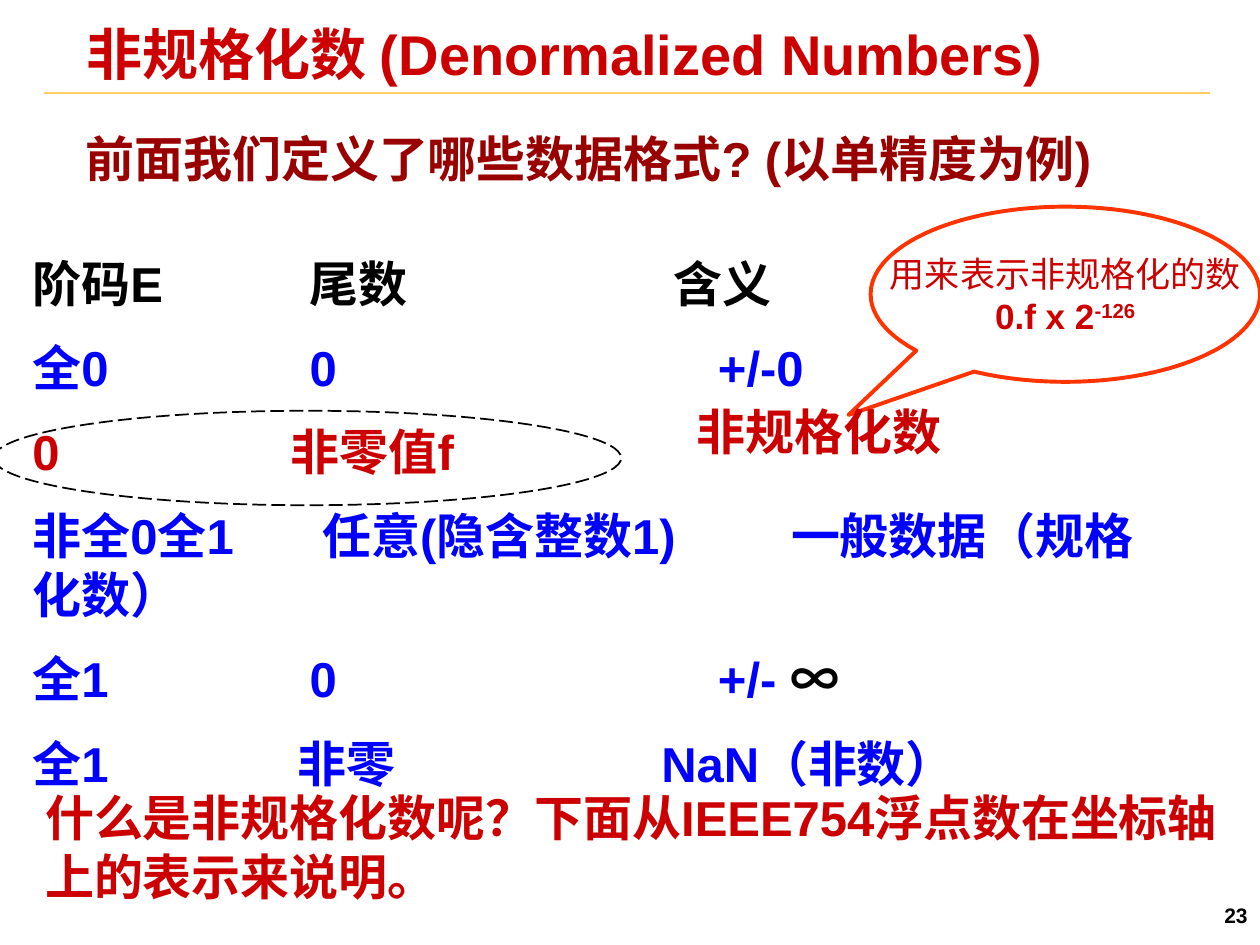
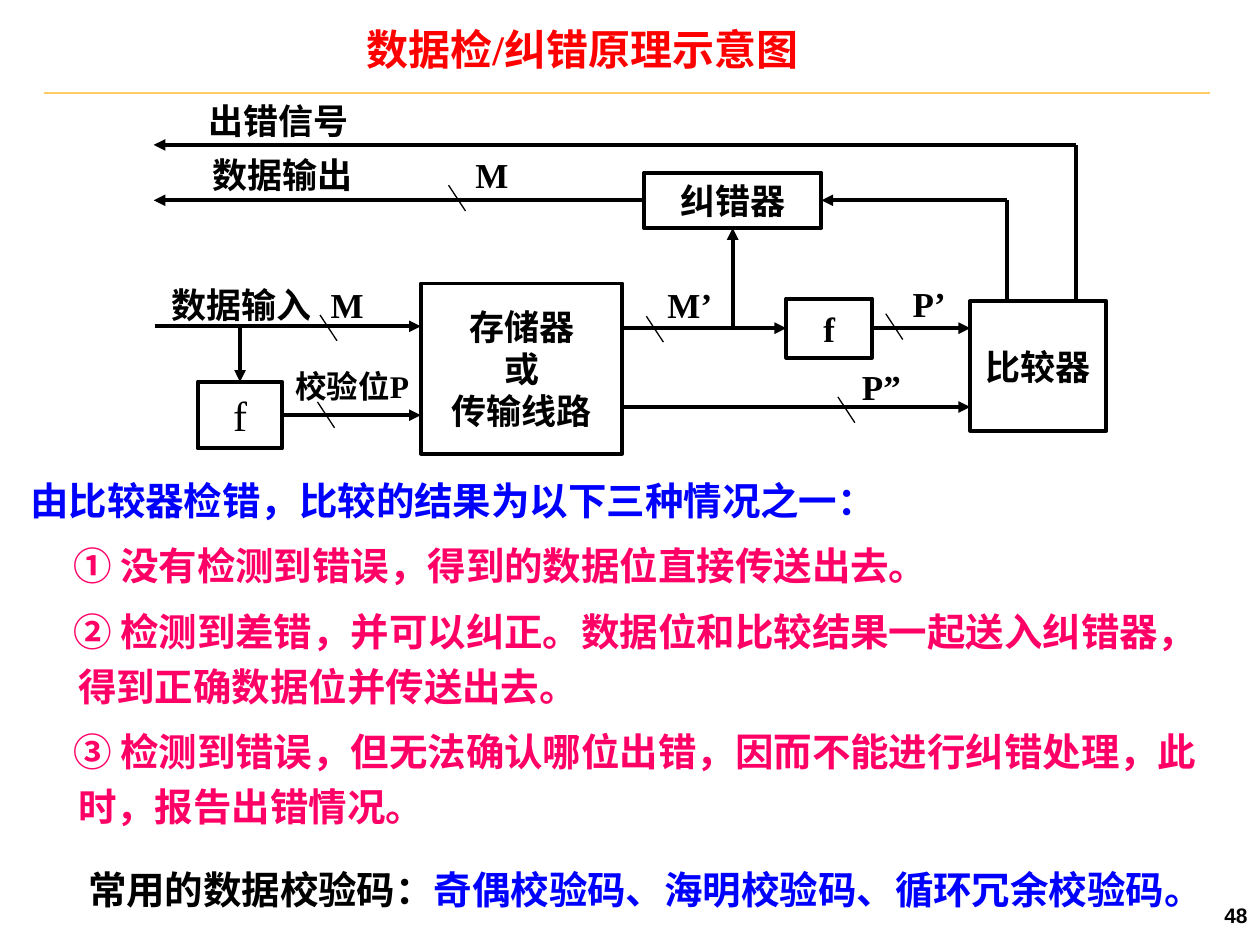
from lxml import etree
from pptx import Presentation
from pptx import util as u
from pptx.dml.color import RGBColor
from pptx.enum import dml, shapes, text
from pptx.oxml.ns import qn

RED = RGBColor(0xCC, 0x00, 0x00)
BRIGHT = RGBColor(0xFF, 0x00, 0x00)
MAROON = RGBColor(0x99, 0x00, 0x00)
ORANGE = RGBColor(0xFF, 0x33, 0x00)
GOLD = RGBColor(0xFF, 0xCC, 0x66)
BLUE = RGBColor(0x00, 0x00, 0xFF)
PINK = RGBColor(0xFF, 0x00, 0x66)
BLACK = RGBColor(0x00, 0x00, 0x00)
SANS, SERIF, HAN = "Arial", "Times New Roman", "Noto Sans CJK SC"
LEFT, MID, RIGHT = text.PP_ALIGN.LEFT, text.PP_ALIGN.CENTER, text.PP_ALIGN.RIGHT
TOP, CENTER, BASE = text.MSO_ANCHOR.TOP, text.MSO_ANCHOR.MIDDLE, text.MSO_ANCHOR.BOTTOM
FORM = shapes.MSO_SHAPE

deck = Presentation()
deck.slide_width, deck.slide_height = u.Inches(10), u.Inches(7.5)
CELL = deck.slide_width / 100


def put(page, box, rows, size=20, face=SANS, hue=BLACK, bold=True, align=LEFT, anchor=TOP,
        inset=(1, 0.5), gap=0, lead=None, wrap=True, form=None, edge=BLACK, width=2.25, stops=()):
    area = [int(n * CELL) for n in box]
    if form is None:
        item = page.shapes.add_textbox(*area)
    else:
        item = page.shapes.add_shape(form, *area)
        item.shadow.inherit = False
        item.fill.background()
        item.line.color.rgb = edge
        item.line.width = u.Pt(width)
    frame = item.text_frame
    frame.word_wrap = wrap
    frame.vertical_anchor = anchor
    frame.margin_left = frame.margin_right = int(inset[0] * CELL)
    frame.margin_top = frame.margin_bottom = int(inset[1] * CELL)
    for i, row in enumerate(rows):
        para = frame.paragraphs[0] if i == 0 else frame.add_paragraph()
        if stops:
            tabs = etree.SubElement(para._p.get_or_add_pPr(), qn("a:tabLst"))
            for stop in stops[i]:
                etree.SubElement(tabs, qn("a:tab"), pos=str(int(stop * CELL)), algn="l")
        para.alignment = align
        para.space_before = u.Pt(gap if i else 0)
        if lead:
            para.line_spacing = lead
        font = para.font
        font.size, font.bold, font.name = u.Pt(size), bold, face
        font.color.rgb = hue
        etree.SubElement(font._rPr, qn("a:ea"), typeface=HAN)
        for part in [(row, None)] if isinstance(row, str) else row:
            run = para.add_run()
            run.text = part[0]
            if part[1] is not None:
                run.font.color.rgb = part[1]
    return item


def link(page, start, end, hue=BLACK, width=2.25, head=False, join=None, meet=None):
    ends = [int(n * CELL) for n in start + end]
    wire = page.shapes.add_connector(shapes.MSO_CONNECTOR.STRAIGHT, *ends)
    wire.line.color.rgb = hue
    wire.line.width = u.Pt(width)
    if head:
        etree.SubElement(wire.line._get_or_add_ln(), qn("a:tailEnd"), type="triangle")
    etree.SubElement(wire._element.spPr, qn("a:effectLst"))
    if join:
        wire.begin_connect(*join)
    if meet:
        wire.end_connect(*meet)


pages = []
for count in ("23", "48"):
    page = deck.slides.add_slide(deck.slide_layouts[6])
    link(page, (3.5, 7.4), (96, 7.4), GOLD, 1)
    put(page, (77.5, 70.6, 22.5, 4), [count], 12, align=RIGHT, anchor=CENTER)
    pages.append(page)
forms, check = pages

put(forms, (6.2, 2, 88.4, 5.2), ["非规格化数 (Denormalized Numbers)"], 32, hue=RED,
    anchor=BASE, inset=(0.7, 0.3), lead=0.87)
put(forms, (5.8, 9.7, 87.1, 6.7), ["前面我们定义了哪些数据格式? (以单精度为例)"], 28, hue=MAROON)

bubble = put(forms, (69.1, 16.4, 30.9, 13.9),
             ["用来表示非规格化的数", [("0.f x 2", None), ("-126", None)]], hue=RED,
             align=MID, anchor=CENTER, wrap=False,
             form=FORM.OVAL_CALLOUT, edge=ORANGE)
bubble.adjustments[0], bubble.adjustments[1] = -0.557, 0.689
note, power = bubble.text_frame.paragraphs
note.font.bold = False
note.font.name = HAN
power.runs[1]._r.get_or_add_rPr().set("baseline", "30000")

rows = [
    "阶码E\t尾数\t含义",
    [("全0\t0\t+/-0", BLUE)],
    [("0\t非零值f", RED)],
    [("非全0全1\t任意(隐含整数1)\t一般数据（规格化数）", BLUE)],
    [("全1\t0\t+/- ", BLUE), ("∞", BLACK)],
    [("全1\t非零\tNaN（非数）", BLUE)],
]
stops = [(22, 50.9), (22, 54.4), (20.5,), (23, 60.2), (22, 54.4), (21, 49.9)]
table = put(forms, (1.6, 19.6, 91.7, 41.1), rows, 28, gap=14.5, stops=stops)
table.text_frame.paragraphs[4].runs[1].font.name = HAN

ring = put(forms, (-0.5, 32.6, 49.8, 7.5), [], form=FORM.OVAL, width=1)
ring.line.dash_style = dml.MSO_LINE.LONG_DASH
put(forms, (54.3, 31.4, 22.2, 5.7), ["非规格化数"], 28, HAN, RED)
put(forms, (2.6, 62, 95.5, 10.4),
    ["什么是非规格化数呢？下面从IEEE754浮点数在坐标轴上的表示来说明。"], 28, hue=RED)

put(check, (28.1, 1.4, 39.2, 5), ["数据检/纠错原理示意图"], 24, SERIF, BRIGHT)

boxes = {}
for name, box, rows, size, bold in [
    ("store", (33.4, 22.5, 16, 13.5), ["存储器", "或", "传输线路"], 20, True),
    ("code", (15.7, 30.3, 6.7, 5.3), ["f"], 24, False),
    ("again", (62.4, 23.7, 6.8, 4.7), ["f"], 20, True),
    ("judge", (77, 23.9, 10.8, 10.3), ["比较器"], 20, True),
    ("fix", (51.1, 13.7, 14.1, 4.4), ["纠错器"], 20, True),
]:
    boxes[name] = put(check, box, rows, size, SERIF, bold=bold, align=MID, anchor=CENTER,
                      inset=(0, 0), wrap=False, form=FORM.RECTANGLE)
code, again, fix = boxes["code"], boxes["again"], boxes["fix"]

for start, end, head, join, meet in [
    ((12.3, 25.9), (33.4, 25.9), True, None, None),
    ((19.05, 25.9), (19.05, 30.3), True, None, (code, 0)),
    ((22.4, 32.95), (33.4, 32.95), True, (code, 3), None),
    ((49.4, 26.05), (62.4, 26.05), True, None, (again, 1)),
    ((49.4, 32.3), (77, 32.3), True, None, None),
    ((69.2, 26.05), (77, 26.05), True, (again, 3), None),
    ((58.15, 26.05), (58.15, 18.1), True, None, (fix, 2)),
    ((79.9, 23.9), (79.9, 15.9), False, None, None),
    ((79.9, 15.9), (65.2, 15.9), True, None, (fix, 3)),
    ((51.1, 15.9), (12.2, 15.9), True, (fix, 1), None),
    ((85.4, 23.9), (85.4, 11.5), False, None, None),
    ((85.4, 11.5), (12.2, 11.5), True, None, None),
]:
    link(check, start, end, head=head, join=join, meet=meet)

for x, y in [(25.4, 25), (25.2, 31.9), (51.3, 25.1), (66.5, 31.5), (70.3, 24.9), (35.6, 14.7)]:
    link(check, (x, y), (x + 1.35, y + 2.05), width=0.75)

for word, x, y, wide, high, size in [
    ("M", 25, 22.5, 5.1, 3.3, 20),
    ("校验位P", 23, 29.1, 9.9, 3, 18),
    ("M’", 52.2, 22.5, 5.1, 3.3, 20),
    ("P”", 67.4, 29, 5.1, 3.3, 20),
    ("P’", 71.2, 22.4, 5.1, 3.3, 20),
    ("M", 36.5, 12.2, 5.1, 3.3, 20),
    ("出错信号", 14.8, 7.4, 14.6, 4.3, 20),
    ("数据输出", 15.1, 11.7, 14.6, 4.3, 20),
    ("数据输入", 12.4, 22.5, 13.5, 3.3, 20),
]:
    put(check, (x, y, wide, high), [word], size, SERIF, align=MID, anchor=CENTER,
        inset=(0, 0), wrap=False)

cases = put(check, (1.7, 37.6, 96.5, 29.3), [
    [("由比较器检错，比较的结果为以下三种情况之一：", BLUE)],
    "① 没有检测到错误，得到的数据位直接传送出去。",
    "② 检测到差错，并可以纠正。数据位和比较结果一起送入纠错器，得到正确数据位并传送出去。",
    "③ 检测到错误，但无法确认哪位出错，因而不能进行纠错处理，此时，报告出错情况。",
], 22, hue=PINK, inset=(0.7, 0.3), gap=5.5)
for para in cases.text_frame.paragraphs[1:]:
    para.line_spacing = 1.2
    side = para._p.get_or_add_pPr()
    side.set("marL", str(int(3.8 * CELL)))
    side.set("indent", str(int(-0.4 * CELL)))

put(check, (6, 67.9, 92.2, 4.8),
    [[("常用的数据校验码：", None), ("奇偶校验码、海明校验码、循环冗余校验码。", BLUE)]],
    22, SERIF, lead=1.1)

deck.save("out.pptx")
